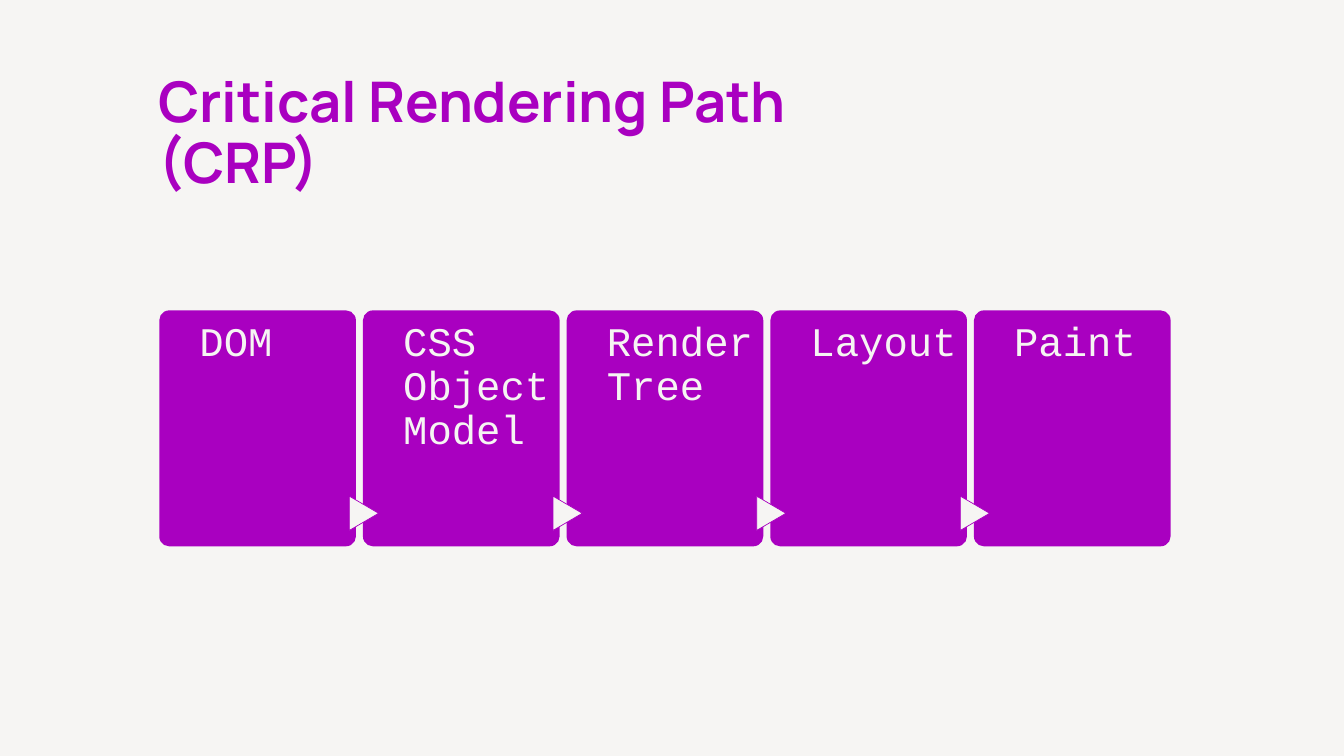
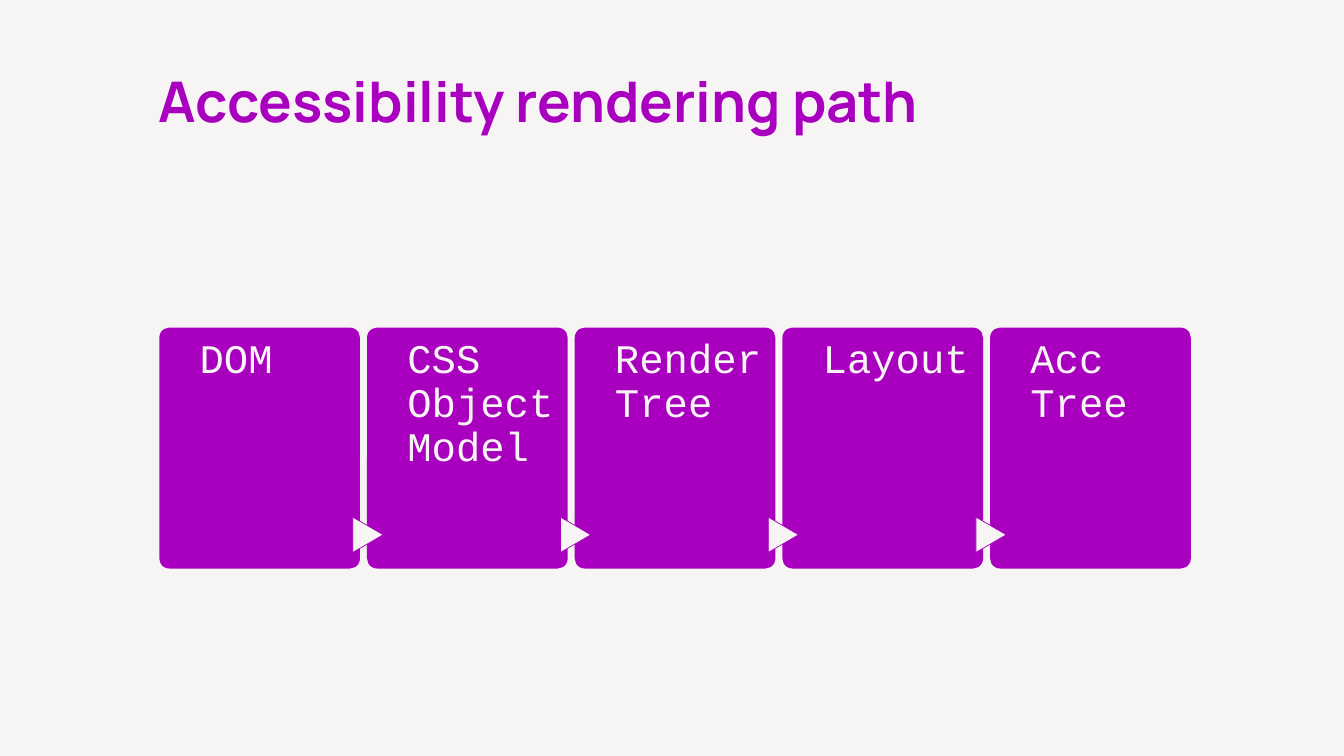
from pptx import Presentation
from pptx.dml.color import RGBColor
from pptx.enum.shapes import MSO_SHAPE
from pptx.enum.text import MSO_ANCHOR, MSO_AUTO_SIZE, PP_ALIGN
from pptx.util import Inches, Pt

PURPLE = "A900C0"
PAPER = "F6F5F3"
TITLE_FONT = "Manrope"
STEP_FONT = "Courier New"
FLOW_LEFT = 1.58


def paint(fill, color):
    fill.solid()
    fill.fore_color.rgb = RGBColor.from_string(color)


def write_text(shape, text, font_name, size, color, margins, bold=False):
    text_frame = shape.text_frame
    text_frame.text = text
    text_frame.word_wrap = True
    text_frame.auto_size = MSO_AUTO_SIZE.NONE
    text_frame.vertical_anchor = MSO_ANCHOR.TOP
    text_frame.margin_left, text_frame.margin_top = map(Inches, margins)
    text_frame.margin_right = text_frame.margin_bottom = 0
    paragraph = text_frame.paragraphs[0]
    paragraph.alignment = PP_ALIGN.LEFT
    paragraph.line_spacing = 0.9
    font = paragraph.runs[0].font
    font.name, font.size, font.bold = font_name, Pt(size), bold
    font.color.rgb = RGBColor.from_string(color)


def add_titled_slide(presentation, title, title_width):
    slide = presentation.slides.add_slide(presentation.slide_layouts[5])
    shape = slide.shapes.title
    shape.left, shape.top = Inches(1.57), Inches(0.74)
    shape.width, shape.height = Inches(title_width), Inches(1.1)
    write_text(shape, title, TITLE_FONT, 40, PURPLE, (0, 0), bold=True)
    return slide


def add_box(slide, preset, left, top, width, height, color):
    shape = slide.shapes.add_shape(
        preset, Inches(left), Inches(top), Inches(width), Inches(height))
    shape.shadow.inherit = False
    paint(shape.fill, color)
    return shape


def add_step(slide, text, left, top, width, height):
    card = add_box(slide, MSO_SHAPE.ROUNDED_RECTANGLE,
                   left, top, width, height, PURPLE)
    card.adjustments[0] = 0.05
    card.line.fill.background()
    write_text(card, text, STEP_FONT, 29, PAPER, (0.37, 0.08))


def add_arrow(slide, center_x, center_y, width, height):
    arrow = add_box(slide, MSO_SHAPE.FLOWCHART_EXTRACT, center_x - width / 2,
                    center_y - height / 2, width, height, PAPER)
    arrow.rotation = 90
    paint(arrow.line.fill, PURPLE)
    arrow.line.width = Pt(0.5)


def add_flow(slide, steps, top, card_width, card_height, gap, arrow_size):
    for index, step in enumerate(steps):
        left = FLOW_LEFT + index * (card_width + gap)
        add_step(slide, step, left, top, card_width, card_height)
        if index:
            add_arrow(slide, left + 0.01, top + 0.86 * card_height, *arrow_size)


def main():
    presentation = Presentation()
    presentation.slide_width = Inches(13.33)
    presentation.slide_height = Inches(7.5)
    paint(presentation.slide_master.background.fill, PAPER)
    shared_steps = ["DOM", "CSS Object Model", "Render Tree", "Layout"]

    slide = add_titled_slide(presentation, "Critical Rendering Path (CRP)", 7.68)
    add_flow(slide, shared_steps + ["Paint"], 3.08, 1.95, 2.34, 0.07, (0.34, 0.29))

    slide = add_titled_slide(presentation, "Accessibility rendering path", 8.46)
    add_flow(slide, shared_steps + ["Acc Tree"], 3.25, 1.99, 2.39, 0.07, (0.35, 0.3))

    presentation.save("out.pptx")


if __name__ == "__main__":
    main()
